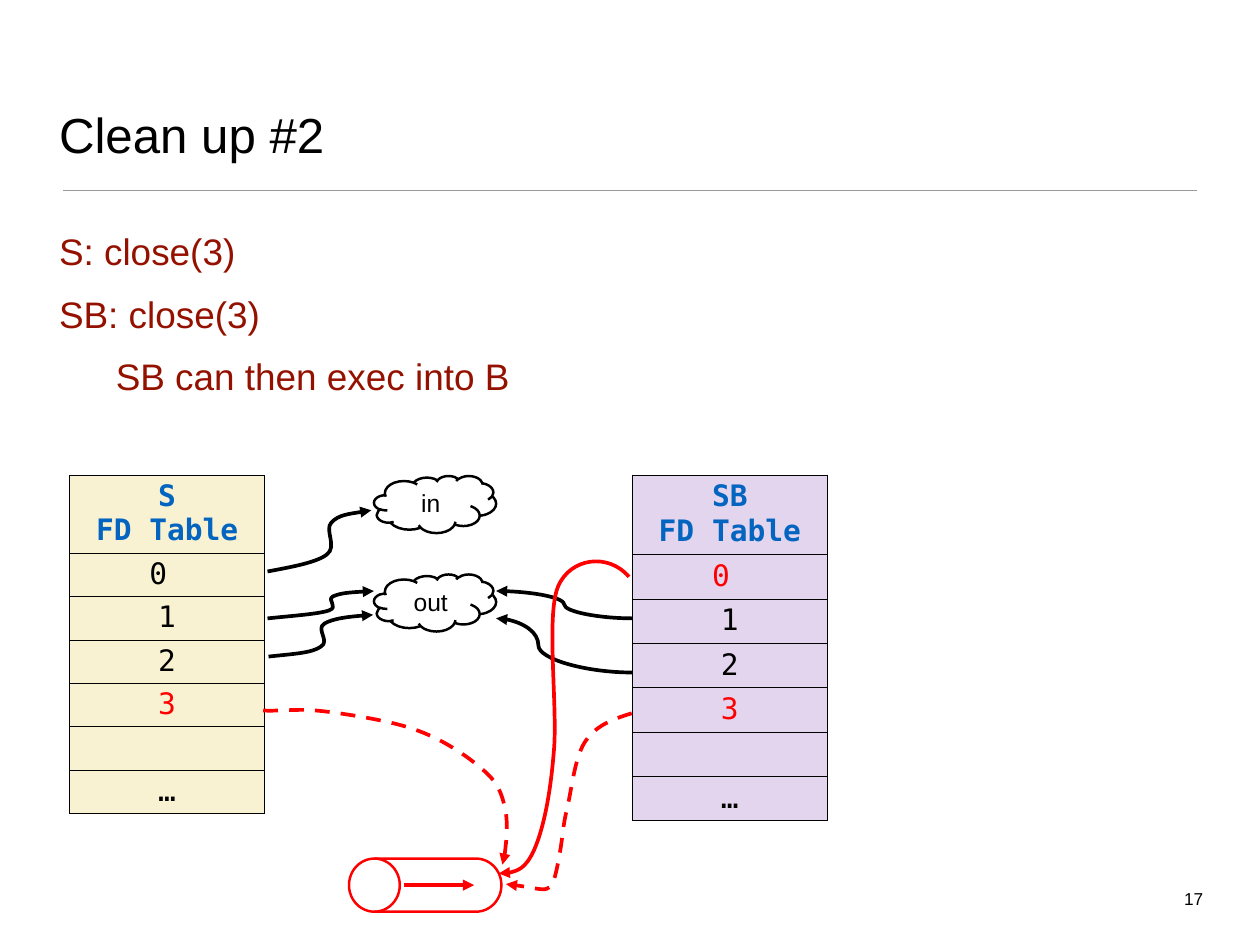
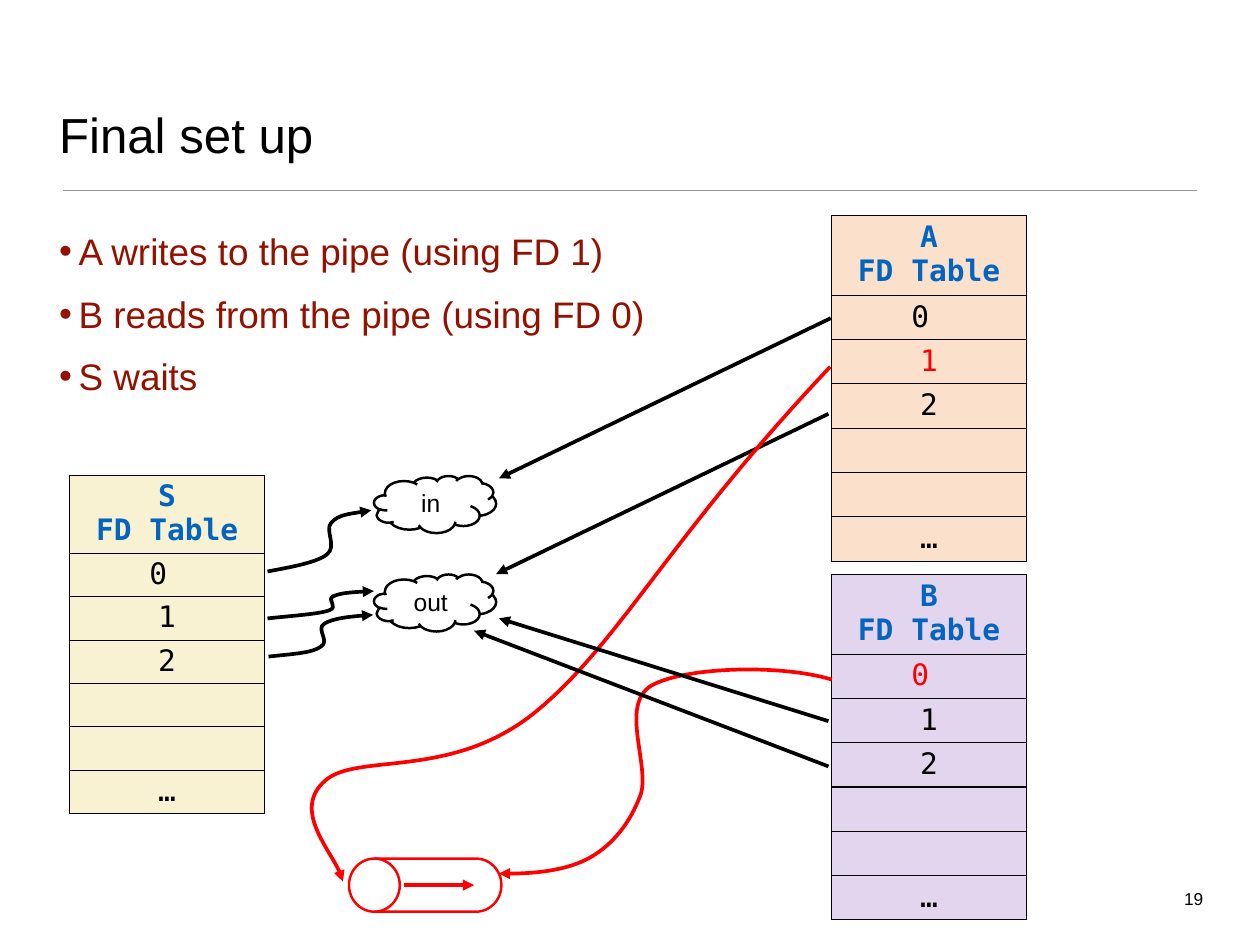
"""Builds two slides on file descriptors, laid out on a grid of 64 columns by 48 rows."""
from itertools import pairwise

from lxml import etree
from pptx import Presentation
from pptx.dml.color import RGBColor
from pptx.enum.dml import MSO_LINE
from pptx.enum.shapes import MSO_CONNECTOR, MSO_SHAPE
from pptx.enum.text import MSO_ANCHOR, PP_ALIGN
from pptx.oxml.ns import qn
from pptx.util import Inches, Pt

WIDE, HIGH = Inches(14.22), Inches(10.67)
COLS, ROWS = 64, 48
BLACK = RGBColor(0, 0, 0)
RED = RGBColor(0xFF, 0, 0)
MAROON = RGBColor(0x94, 0x11, 0)
BLUE = RGBColor(0x03, 0x65, 0xC0)
GREY = RGBColor(0x9A, 0x9A, 0x9A)
CREAM = RGBColor(0xF8, 0xF2, 0xD3)
LILAC = RGBColor(0xE4, 0xD5, 0xEE)
PEACH = RGBColor(0xFB, 0xE1, 0xCC)
SANS, MONO = "Arial", "DejaVu Sans Mono"
LEFT, MID, RIGHT = PP_ALIGN.LEFT, PP_ALIGN.CENTER, PP_ALIGN.RIGHT
TOP, CENTRE, BASE = MSO_ANCHOR.TOP, MSO_ANCHOR.MIDDLE, MSO_ANCHOR.BOTTOM
STRAIGHT, CURVE = MSO_CONNECTOR.STRAIGHT, MSO_CONNECTOR.CURVE
CLOUD, DISK = MSO_SHAPE.CLOUD, MSO_SHAPE.FLOWCHART_MAGNETIC_DISK
DASH = MSO_LINE.DASH
STEPS = 16
EDGES = ("a:lnL", "a:lnR", "a:lnT", "a:lnB")

S_IN = [(13.59, 29.03), (14.8, 28.8), (16.07, 28.58), (16.6, 28.17),
        (17.15, 27.77), (16.47, 26.91), (16.83, 26.55),
        (17.19, 26.15), (18.05, 26.06), (18.86, 25.92)]
S_OUT = [(13.59, 31.41), (14.85, 31.28), (16.16, 31.19), (16.7, 31.01),
         (17.24, 30.83), (16.56, 30.47), (16.92, 30.29),
         (17.33, 30.11), (18.18, 30.06), (18.99, 30.02)]
S_ERR = [(13.64, 33.35), (14.94, 33.21), (15.84, 33.17), (16.29, 32.85),
         (16.79, 32.58), (16.02, 31.95), (16.47, 31.68),
         (16.92, 31.41), (18.09, 31.28), (18.95, 31.23)]
S_PIPE = [(13.37, 36.09), (13.86, 36.14), (15.26, 36), (16.02, 36.09),
          (16.74, 36.14), (19.62, 36.54), (21.02, 37.04),
          (22.46, 37.53), (23.72, 38.39), (24.48, 39.06),
          (25.25, 39.69), (25.47, 40.23), (25.65, 41.04),
          (25.83, 41.85), (25.61, 44.1), (25.52, 43.92)]
SB_PIPE = [(32.09, 36.23), (31.1, 36.54), (30.24, 36.86), (29.7, 37.71),
           (29.16, 38.57), (29.03, 40.23), (28.76, 41.27),
           (28.53, 42.35), (28.62, 42.48), (28.31, 44.01),
           (27.99, 45.54), (27.86, 45.14), (25.7, 44.91)]
SB_IN = [(31.95, 29.3), (30.92, 28.08), (28.98, 28.31), (28.35, 29.79),
         (27.72, 31.28), (28.35, 36), (28.13, 38.21),
         (27.95, 40.46), (27.59, 42.12), (27.14, 43.16),
         (26.69, 44.15), (25.83, 44.46), (25.34, 44.37)]
B_IN = [(42.25, 34.52), (39.6, 33.71), (34.7, 33.89), (33.08, 34.83),
        (31.46, 35.82), (33.03, 38.88), (32.54, 40.37),
        (32, 41.81), (31.14, 42.89), (29.97, 43.56),
        (28.76, 44.24), (26.6, 44.42), (25.34, 44.37)]
A_OUT = [(42.17, 18.63), (33.93, 27.36), (31.5, 32.63), (27.23, 36.14),
         (22.95, 39.65), (18.14, 38.21), (16.52, 39.65),
         (14.85, 41.09), (17.24, 43.7), (17.42, 44.78)]


def spot(col, row):
    """Turn a grid place into lengths."""
    return round(WIDE * col / COLS), round(HIGH * row / ROWS)


def paint(para, size, color, font=SANS, bold=False):
    """Format the runs of a paragraph."""
    for run in para.runs:
        run.font.size, run.font.name, run.font.bold = Pt(size), font, bold
        run.font.color.rgb = color


def fit(frame, anchor, wrap=True):
    """Set the margins and anchor of a text frame."""
    frame.word_wrap, frame.vertical_anchor = wrap, anchor
    frame.margin_left = frame.margin_right = Inches(0.04)
    frame.margin_top = frame.margin_bottom = Inches(0.04)


def write(slide, text, at, size, color, anchor=TOP, align=LEFT, wrap=True):
    """Add a text box and return its paragraphs."""
    frame = slide.shapes.add_textbox(*spot(*at[:2]), *spot(*at[2:])).text_frame
    fit(frame, anchor, wrap)
    frame.text = text
    for para in frame.paragraphs:
        para.alignment = align
        paint(para, size, color)
    return frame.paragraphs


def ink(shape, color, width, head=False, dash=None):
    """Style a line, with an arrowhead if asked."""
    shape.line.color.rgb, shape.line.width = color, Pt(width)
    if dash:
        shape.line.dash_style = dash
    if head:
        etree.SubElement(shape.line._get_or_add_ln(), qn("a:tailEnd"), type="triangle")


def link(slide, start, end, color=BLACK, width=3, head=True, bend=None):
    """Join two places, straight or with a bend at a share of the way."""
    kind = CURVE if bend else STRAIGHT
    line = slide.shapes.add_connector(kind, *spot(*start), *spot(*end))
    ink(line, color, width, head)
    props = line._element.spPr
    etree.SubElement(props, qn("a:effectLst"))
    if bend:
        guides = props.find(qn("a:prstGeom")).find(qn("a:avLst"))
        etree.SubElement(guides, qn("a:gd"), name="adj1", fmla=f"val {round(bend * 100000)}")


def blend(knots, t):
    """Find the point at share t of a Bezier curve."""
    while len(knots) > 1:
        knots = [tuple(p + (q - p) * t for p, q in zip(a, b)) for a, b in pairwise(knots)]
    return knots[0]


def bow(shape, knots):
    """Make the outline of a freeform a chain of cubic curves."""
    track = shape._element.spPr.find(".//" + qn("a:path"))
    for part in list(track):
        track.remove(part)
    for i, knot in enumerate(knots):
        if i % 3 == 1 or i == 0:
            part = etree.SubElement(track, qn("a:cubicBezTo" if i else "a:moveTo"))
        x, y = spot(*knot)
        etree.SubElement(part, qn("a:pt"), x=str(x - shape.left), y=str(y - shape.top))


def sweep(slide, knots, color=BLACK, dash=None):
    """Draw an arrow along joined cubic curves, in a box that fits them."""
    trail = [spot(*blend(knots[i:i + 4], n / STEPS))
             for i in range(0, len(knots) - 1, 3) for n in range(1, STEPS + 1)]
    pen = slide.shapes.build_freeform(*spot(*knots[0]))
    pen.add_line_segments(trail, close=False)
    shape = pen.convert_to_shape()
    bow(shape, knots)
    shape.shadow.inherit = False
    shape.fill.background()
    ink(shape, color, 3, True, dash)


def form(slide, kind, at, color):
    """Add an unfilled shape with an outline."""
    shape = slide.shapes.add_shape(kind, *spot(*at[:2]), *spot(*at[2:]))
    shape.shadow.inherit = False
    shape.fill.background()
    ink(shape, color, 2)
    return shape


def cloud(slide, text, row):
    """Add a labelled cloud."""
    frame = form(slide, CLOUD, (19, row, 6.2, 2.9), BLACK).text_frame
    fit(frame, CENTRE)
    frame.text = text
    frame.paragraphs[0].alignment = MID
    paint(frame.paragraphs[0], 20, BLACK)


def pipe(slide):
    """Add the pipe, a disk on its side with an arrow in it."""
    group = slide.shapes.add_group_shape()
    form(group, DISK, (20.25, 41.09, 2.7, 7.74), RED).rotation = 270
    link(group, (20.52, 44.96), (24.08, 44.96), RED)


def edge(cell):
    """Draw thin black borders round a cell."""
    props = cell._tc.get_or_add_tcPr()
    for name in EDGES:
        side = etree.SubElement(props, qn(name), w=str(Pt(1)))
        fill = etree.SubElement(side, qn("a:solidFill"))
        etree.SubElement(fill, qn("a:srgbClr"), val=str(BLACK))


def table(slide, name, at, fill, slots, hot="", head=4.05, step=2.25):
    """Add a descriptor table whose hot slots are red."""
    texts = [f"{name}\nFD Table", *slots]
    size = spot(9.88, head + step * len(slots))
    grid = slide.shapes.add_table(len(texts), 1, *spot(*at), *size).table
    grid.first_row = grid.horz_banding = False
    for i, text in enumerate(texts):
        grid.rows[i].height = spot(0, step if i else head)[1]
        cell = grid.cell(i, 0)
        cell.margin_top = cell.margin_bottom = Inches(0.05 if step > 2.2 else 0.04)
        edge(cell)
        cell.fill.solid()
        cell.fill.fore_color.rgb = fill
        cell.text_frame.text = text
        color = RED if text and text.strip() in hot else BLACK
        for para in cell.text_frame.paragraphs:
            para.alignment = MID
            paint(para, 24, color if i else BLUE, MONO, not i)


def indent(para, left, hang=0):
    """Indent a paragraph, with a bullet in the hang."""
    props = para._p.get_or_add_pPr()
    props.set("marL", str(Inches(left)))
    props.set("indent", str(-Inches(hang)))
    if hang:
        etree.SubElement(props, qn("a:buFont"), typeface=SANS)
        etree.SubElement(props, qn("a:buChar"), char="•")


def base(deck, title, text, page, slots, hot=""):
    """Add a slide with what both share; return it and its body lines."""
    slide = deck.slides.add_slide(deck.slide_layouts[6])
    link(slide, (3.2, 9.68), (60.8, 9.68), GREY, 1, False)
    write(slide, title, (2.82, 1.6, 58.37, 6.88), 40, BLACK, BASE)
    lines = write(slide, text, (2.82, 11.43, 58.37, 32.3), 30, MAROON)
    for para in lines:
        para.space_before = Pt(15)
    table(slide, "S", (3.55, 24.15), CREAM, slots, hot, 3.97, 2.2)
    cloud(slide, "in", 24.17)
    cloud(slide, "out", 29.17)
    for knots in (S_IN, S_OUT, S_ERR):
        sweep(slide, knots)
    pipe(slide)
    write(slide, page, (59.9, 44.96, 1.4, 1.35), 14, BLACK, align=RIGHT, wrap=False)
    return slide, lines


def main():
    """Build and save both slides."""
    deck = Presentation()
    deck.slide_width, deck.slide_height = WIDE, HIGH
    full = ["0 ", "1", "2", "3", "", "…"]
    part = ["0 ", "1", "2", "", "", "…"]

    text = "S: close(3)\nSB: close(3)\nSB can then exec into B"
    slide, lines = base(deck, "Clean up #2", text, "17", full, "3")
    indent(lines[2], 0.64)
    sweep(slide, S_PIPE, RED, DASH)
    table(slide, "SB", (32.13, 24.13), LILAC, full, "03")
    link(slide, (32.13, 34.16), (25.2, 31.41), bend=0.69)
    sweep(slide, SB_PIPE, RED, DASH)
    link(slide, (32.13, 31.41), (25.2, 30.02), bend=0.5)
    sweep(slide, SB_IN, RED)

    text = "A writes to the pipe (using FD 1)\nB reads from the pipe (using FD 0)\nS waits "
    slide, lines = base(deck, "Final set up", text, "19", part)
    for para in lines:
        indent(para, 0.22, 0.22)
    table(slide, "B", (42.25, 29.17), LILAC, part, "0")
    sweep(slide, B_IN, RED)
    table(slide, "A", (42.25, 10.95), PEACH, part, "1")
    link(slide, (42.2, 16.16), (25.34, 24.3))
    link(slide, (42.08, 21.02), (25.2, 29.16))
    sweep(slide, A_OUT, RED)
    link(slide, (42.08, 36.63), (25.34, 31.41))
    link(slide, (42.08, 38.93), (24.08, 32.04))
    deck.save("out.pptx")


main()
